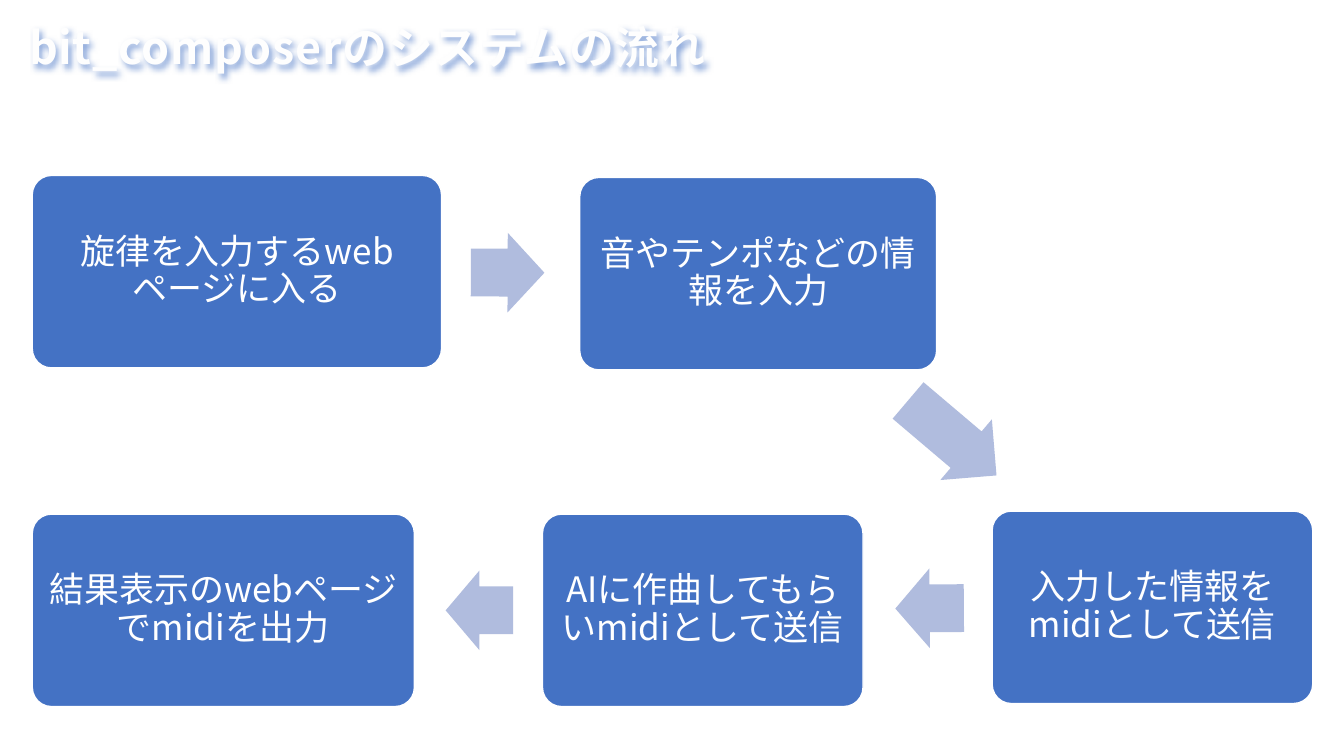
"""Build a slide showing the flow of a composing system in five steps."""
from dataclasses import dataclass

from lxml import etree
from pptx import Presentation
from pptx.dml.color import RGBColor
from pptx.enum import shapes as kinds, text as t
from pptx.oxml import ns, parse_xml
from pptx.util import Inches, Pt


@dataclass(frozen=True)
class Theme:
    """Colours, font and type sizes of the slide."""
    blue: str = "4472C4"
    pale: str = "B0BCDE"
    white: str = "FFFFFF"
    title: str = "FEFEFE"
    font: str = "Noto Sans CJK JP"
    head: int = 32
    body: int = 25


@dataclass(frozen=True)
class Step:
    """One box of the flow, in inches."""
    left: float
    top: float
    width: float
    label: str


@dataclass(frozen=True)
class Arrow:
    """One block arrow between steps, in inches and degrees."""
    left: float
    top: float
    width: float
    turn: float


THEME = Theme()
STEP_HIGH = 1.91
ARROW_HIGH = 0.79

STEPS = [
    Step(0.32, 1.74, 4.06, "旋律を入力するwebページに入る"),
    Step(5.75, 1.76, 3.54, "音やテンポなどの情報を入力"),
    Step(9.84, 5.07, 3.18, "入力した情報をmidiとして送信"),
    Step(5.38, 5.1, 3.18, "AIに作曲してもらいmidiとして送信"),
    Step(0.32, 5.1, 3.79, "結果表示のwebページでmidiを出力"),
]
ARROWS = [
    Arrow(4.67, 2.31, 0.73, 0.2),
    Arrow(8.87, 3.95, 1.15, 40.3),
    Arrow(8.88, 5.64, 0.68, 179.6),
    Arrow(4.42, 5.66, 0.67, 180),
]


def write(frame, words: str, *, size: int, color: str, bold: bool = False,
          align=t.PP_ALIGN.LEFT):
    """Write one formatted paragraph in a text frame and return its run."""
    frame.word_wrap = True
    frame.vertical_anchor = t.MSO_ANCHOR.MIDDLE
    para = frame.paragraphs[0]
    para.alignment = align
    para.line_spacing = 0.9
    run = para.add_run()
    run.text = words
    run.font.size = Pt(size)
    run.font.bold = bold
    run.font.color.rgb = RGBColor.from_string(color)
    run.font.name = THEME.font
    east = etree.SubElement(run.font._element, ns.qn("a:ea"))
    east.set("typeface", THEME.font)
    return run


def add_title(slide, words: str) -> None:
    """Add the white title with its blue outline and soft shadow."""
    box = slide.shapes.add_textbox(
        Inches(0.19), Inches(0.19), Inches(11.5), Inches(0.62))
    run = write(box.text_frame, words, size=THEME.head, color=THEME.title,
                bold=True)
    props = run.font._element
    props.set("spc", "50")
    props.insert(0, parse_xml(
        f'<a:ln {ns.nsdecls("a")} w="9525"><a:solidFill>'
        f'<a:srgbClr val="{THEME.blue}"/></a:solidFill></a:ln>'))
    box._element.spPr.append(parse_xml(
        f'<a:effectLst {ns.nsdecls("a")}><a:outerShdw blurRad="25400" '
        f'dist="25400" dir="2700000"><a:srgbClr val="{THEME.blue}">'
        f'<a:alpha val="60000"/></a:srgbClr></a:outerShdw></a:effectLst>'))


def add_block(slide, kind, place: Step | Arrow, high: float, fill: str):
    """Add a filled preset shape without line or shadow."""
    block = slide.shapes.add_shape(
        kind, Inches(place.left), Inches(place.top),
        Inches(place.width), Inches(high))
    block.shadow.inherit = False
    block.fill.solid()
    block.fill.fore_color.rgb = RGBColor.from_string(fill)
    block.line.fill.background()
    return block


def add_step(slide, step: Step) -> None:
    """Add one rounded box with its label."""
    box = add_block(slide, kinds.MSO_SHAPE.ROUNDED_RECTANGLE, step,
                    STEP_HIGH, THEME.blue)
    box.adjustments[0] = 0.1
    box.line.color.rgb = RGBColor.from_string(THEME.white)
    box.line.width = Pt(1)
    frame = box.text_frame
    for side in ("left", "top", "right", "bottom"):
        setattr(frame, f"margin_{side}", Inches(0.1))
    write(frame, step.label, size=THEME.body, color=THEME.white,
          align=t.PP_ALIGN.CENTER)


def add_arrow(slide, arrow: Arrow) -> None:
    """Add one turned block arrow."""
    block = add_block(slide, kinds.MSO_SHAPE.RIGHT_ARROW, arrow,
                      ARROW_HIGH, THEME.pale)
    block.adjustments[0] = 0.6
    block.adjustments[1] = 0.5
    block.rotation = arrow.turn


def main() -> None:
    """Build and save the deck."""
    deck = Presentation()
    deck.slide_width = Inches(13.33)
    deck.slide_height = Inches(7.5)
    slide = deck.slides.add_slide(deck.slide_layouts[6])
    add_title(slide, "bit_composerのシステムの流れ")
    for step in STEPS:
        add_step(slide, step)
    for arrow in ARROWS:
        add_arrow(slide, arrow)
    deck.save("out.pptx")


main()
